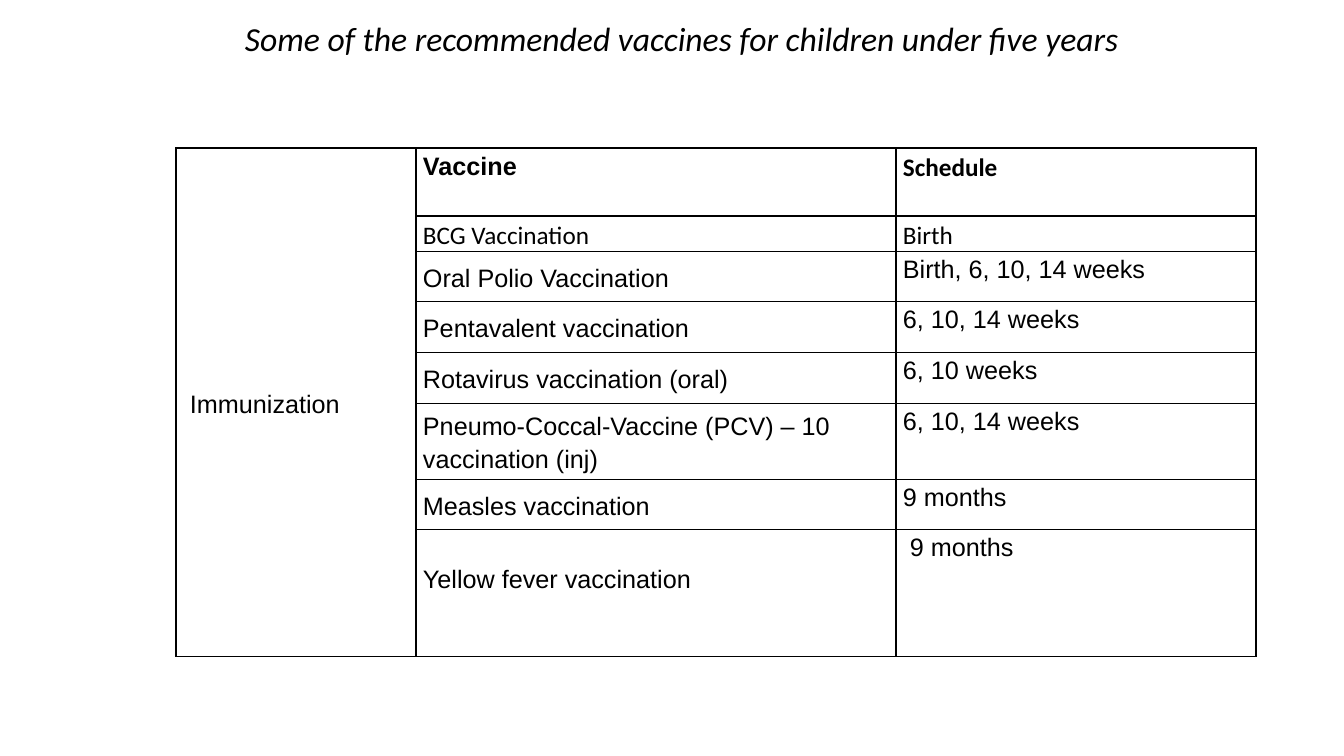
import lxml.etree
import pptx
import pptx.dml.color
import pptx.enum.text
import pptx.oxml.ns
import pptx.util

PX = 914400 / 100.8
COLORS = {"ink": "000000", "paper": "FFFFFF"}
ANCHOR = pptx.enum.text.MSO_ANCHOR

COLUMNS = [240, 480, 360]
# height, vaccine, its font, schedule, its font
ROWS = [
    (68, "Vaccine", "Arial", "Schedule", "Calibri"),
    (35, "BCG Vaccination", "Calibri", "Birth", "Calibri"),
    (50, "Oral Polio Vaccination", "Arial", "Birth, 6, 10, 14 weeks", "Arial"),
    (51, "Pentavalent vaccination", "Arial", "6, 10, 14 weeks", "Arial"),
    (51, "Rotavirus vaccination (oral)", "Arial", "6, 10 weeks", "Arial"),
    (76, "Pneumo-Coccal-Vaccine (PCV) – 10 vaccination (inj)", "Arial",
     "6, 10, 14 weeks", "Arial"),
    (50, "Measles vaccination", "Arial", "9 months", "Arial"),
    (127, "Yellow fever vaccination", "Arial", "9 months", "Arial"),
]


def px(n):
    return pptx.util.Emu(round(n * PX))


def rgb(name):
    return pptx.dml.color.RGBColor.from_string(COLORS[name])


def add_run(p, text, font, size, bold=False, italic=False):
    r = p.add_run()
    r.text = text
    r.font.name = font
    r.font.size = pptx.util.Pt(size)
    r.font.bold = bold
    r.font.italic = italic
    r.font.color.rgb = rgb("ink")


def add_borders(cell):
    qn = pptx.oxml.ns.qn
    tc_pr = cell._tc.get_or_add_tcPr()
    for i, side in enumerate(("lnL", "lnR", "lnT", "lnB")):
        ln = lxml.etree.Element(qn("a:" + side), w=str(pptx.util.Pt(1)))
        fill = lxml.etree.SubElement(ln, qn("a:solidFill"))
        lxml.etree.SubElement(fill, qn("a:srgbClr"), val=COLORS["ink"])
        tc_pr.insert(i, ln)


def fill_cell(cell, text, font, anchor, bold=False, left=7, bottom=0):
    cell.vertical_anchor = anchor
    cell.margin_left, cell.margin_right = px(left), px(7)
    cell.margin_top, cell.margin_bottom = 0, px(bottom)
    p = cell.text_frame.paragraphs[0]
    p.line_spacing = 1.15
    add_run(p, text, font, 18, bold)


def add_title(s, x, y, w, h):
    tf = s.shapes.add_textbox(px(x), px(y), px(w), px(h)).text_frame
    tf.word_wrap = True
    add_run(tf.paragraphs[0],
            "Some of the recommended vaccines for children under five years",
            "Calibri", 24, italic=True)


def add_schedule(s, x, y):
    heights = [row[0] for row in ROWS]
    table = s.shapes.add_table(len(ROWS), len(COLUMNS), px(x), px(y),
                               px(sum(COLUMNS)), px(sum(heights))).table
    table.first_row = table.horz_banding = False
    for column, width in zip(table.columns, COLUMNS):
        column.width = px(width)
    for row, height in zip(table.rows, heights):
        row.height = px(height)
    for cell in table.iter_cells():
        cell.fill.solid()
        cell.fill.fore_color.rgb = rgb("paper")
        add_borders(cell)

    # Group label spanning every row
    table.cell(0, 0).merge(table.cell(len(ROWS) - 1, 0))
    fill_cell(table.cell(0, 0), "Immunization", "Arial", ANCHOR.MIDDLE, left=14)

    # Vaccines and their schedules; the last row is set slightly differently
    for i, (_, vaccine, font, schedule, schedule_font) in enumerate(ROWS):
        header, last = i == 0, i == len(ROWS) - 1
        fill_cell(table.cell(i, 1), vaccine, font,
                  ANCHOR.TOP if header else ANCHOR.MIDDLE,
                  bold=header, bottom=30 if last else 0)
        fill_cell(table.cell(i, 2), schedule, schedule_font, ANCHOR.TOP,
                  bold=header, left=14 if last else 7)


def main():
    prs = pptx.Presentation()
    prs.slide_width, prs.slide_height = px(1344), px(756)
    s = prs.slides.add_slide(prs.slide_layouts[6])
    s.background.fill.solid()
    s.background.fill.fore_color.rgb = rgb("paper")
    add_schedule(s, 176, 148)
    add_title(s, 235, 13, 927, 50)
    prs.save("out.pptx")


if __name__ == "__main__":
    main()
